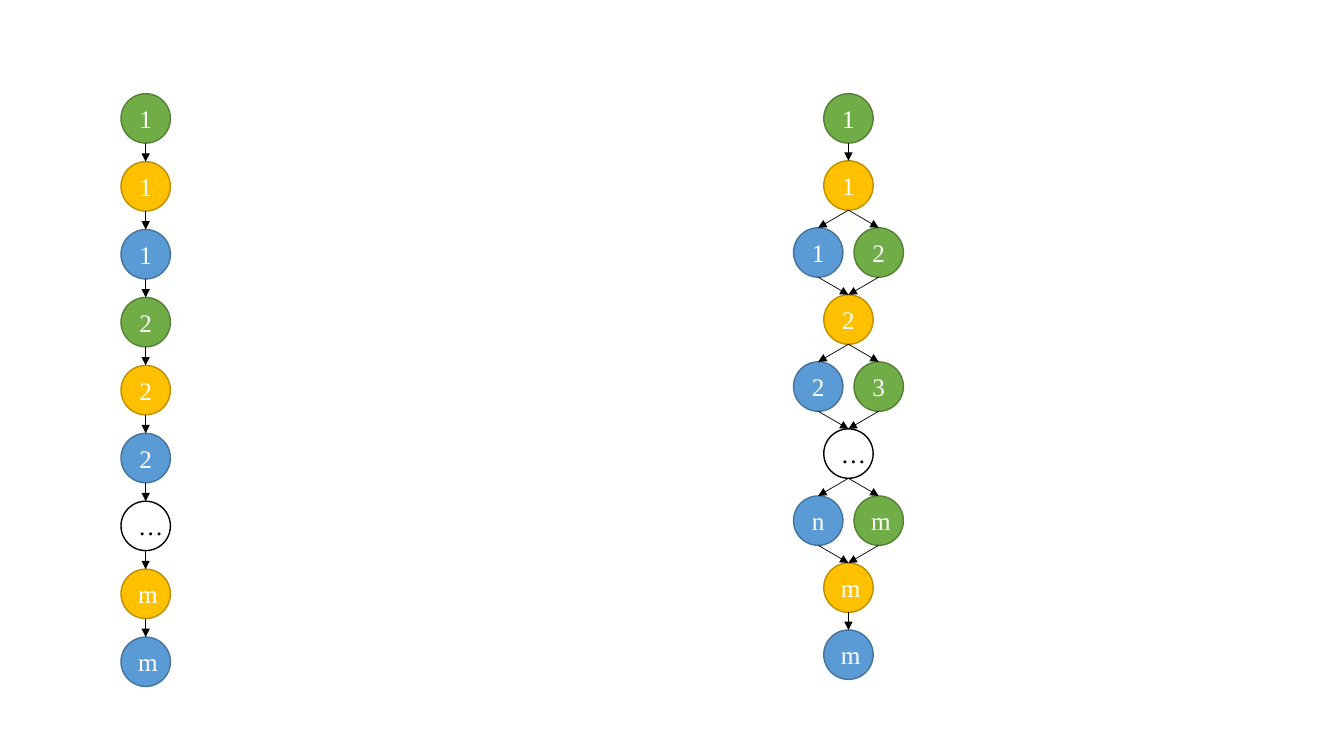
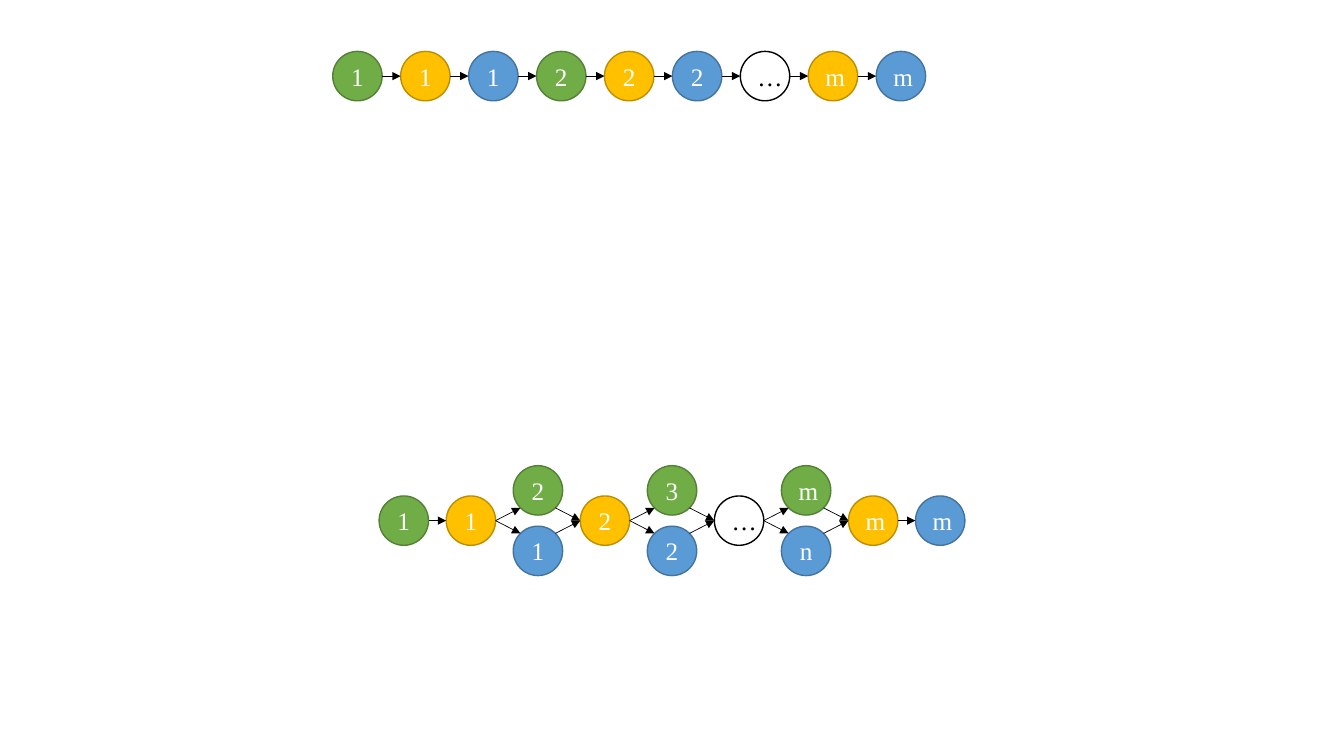
import math
import pptx
import pptx.dml.color
import pptx.enum.shapes
import pptx.enum.text
import pptx.oxml
import pptx.oxml.ns
import pptx.util

COLOURS = {
    "green": "70AD47", "green edge": "538035",
    "yellow": "FFC000", "yellow edge": "BD8E00",
    "blue": "5B9BD5", "blue edge": "43739E",
    "white": "FFFFFF", "white edge": "000000",
    "light text": "FFFFFF", "dark text": "000000", "arrow": "000000",
}
LABEL_FORMAT = {"name": "Times New Roman", "size": pptx.util.Pt(18)}
DIAMETER = 0.49
RADIUS = DIAMETER / 2
SIDE_OFFSET = 0.3

CHAIN = [
    [("green", "1", 0)], [("yellow", "1", 0)], [("blue", "1", 0)],
    [("green", "2", 0)], [("yellow", "2", 0)], [("blue", "2", 0)],
    [("white", "…", 0)], [("yellow", "m", 0)], [("blue", "m", 0)],
]
BRANCHED = [
    [("green", "1", 0)], [("yellow", "1", 0)],
    [("blue", "1", -1), ("green", "2", 1)], [("yellow", "2", 0)],
    [("blue", "2", -1), ("green", "3", 1)], [("white", "…", 0)],
    [("blue", "n", -1), ("green", "m", 1)], [("yellow", "m", 0)],
    [("blue", "m", 0)],
]
DOWN = {"along": (0, 1), "across": (1, 0), "port angle": 0}
RIGHT = {"along": (1, 0), "across": (0, -1), "port angle": 45}
SLIDES = [
    [
        {"levels": CHAIN, "start": (1.2, 0.93), "span": 5.39, "flow": DOWN, "grouped": False},
        {"levels": BRANCHED, "start": (8.17, 0.93), "span": 5.32, "flow": DOWN, "grouped": False},
    ],
    [
        {"levels": CHAIN, "start": (3.3, 0.51), "span": 5.39, "flow": RIGHT, "grouped": True},
        {"levels": BRANCHED, "start": (3.76, 4.92), "span": 5.32, "flow": RIGHT, "grouped": False},
    ],
]


def add_node(shapes, colour, label, centre):
    left, top = (pptx.util.Inches(value - RADIUS) for value in centre)
    size = pptx.util.Inches(DIAMETER)
    shape = shapes.add_shape(pptx.enum.shapes.MSO_SHAPE.OVAL, left, top, size, size)
    shape.shadow.inherit = False
    shape.fill.solid()
    shape.fill.fore_color.rgb = pptx.dml.color.RGBColor.from_string(COLOURS[colour])
    shape.line.color.rgb = pptx.dml.color.RGBColor.from_string(COLOURS[colour + " edge"])
    shape.line.width = pptx.util.Pt(1)
    shape.text_frame.vertical_anchor = pptx.enum.text.MSO_ANCHOR.MIDDLE
    paragraph = shape.text_frame.paragraphs[0]
    paragraph.alignment = pptx.enum.text.PP_ALIGN.CENTER
    run = paragraph.add_run()
    run.text = label
    for attribute, value in LABEL_FORMAT.items():
        setattr(run.font, attribute, value)
    text_colour = "dark text" if colour == "white" else "light text"
    run.font.color.rgb = pptx.dml.color.RGBColor.from_string(COLOURS[text_colour])


def add_arrow(shapes, begin, end):
    connector = shapes.add_connector(
        pptx.enum.shapes.MSO_CONNECTOR.STRAIGHT,
        *(pptx.util.Inches(value) for value in begin + end))
    connector.line.color.rgb = pptx.dml.color.RGBColor.from_string(COLOURS["arrow"])
    connector.line.width = pptx.util.Pt(0.5)
    properties = connector.element.spPr
    line = properties.find(pptx.oxml.ns.qn("a:ln"))
    namespace = pptx.oxml.ns.nsdecls("a")
    line.append(pptx.oxml.parse_xml(f'<a:tailEnd {namespace} type="triangle"/>'))
    properties.append(pptx.oxml.parse_xml(f"<a:effectLst {namespace}/>"))


presentation = pptx.Presentation()
presentation.slide_width = pptx.util.Inches(13.33)
presentation.slide_height = pptx.util.Inches(7.5)

for diagrams in SLIDES:
    slide = presentation.slides.add_slide(presentation.slide_layouts[6])
    for diagram in diagrams:
        shapes = slide.shapes.add_group_shape().shapes if diagram["grouped"] else slide.shapes
        flow = diagram["flow"]
        pitch = diagram["span"] / (len(diagram["levels"]) - 1)
        exits = []
        for index, level in enumerate(diagram["levels"]):
            entries, next_exits = [], []
            for colour, label, side in level:
                centre = tuple(
                    start + RADIUS + index * pitch * along + side * SIDE_OFFSET * across
                    for start, along, across in zip(diagram["start"], flow["along"], flow["across"]))
                add_node(shapes, colour, label, centre)
                angle = math.radians(flow["port angle"] * abs(side))
                for ports, direction in ((entries, -1), (next_exits, 1)):
                    ports.append(tuple(
                        middle + RADIUS * (direction * math.cos(angle) * along
                                           - side * math.sin(angle) * across)
                        for middle, along, across in zip(centre, flow["along"], flow["across"])))
            for begin in exits:
                for end in entries:
                    add_arrow(shapes, begin, end)
            exits = next_exits

presentation.save("out.pptx")
